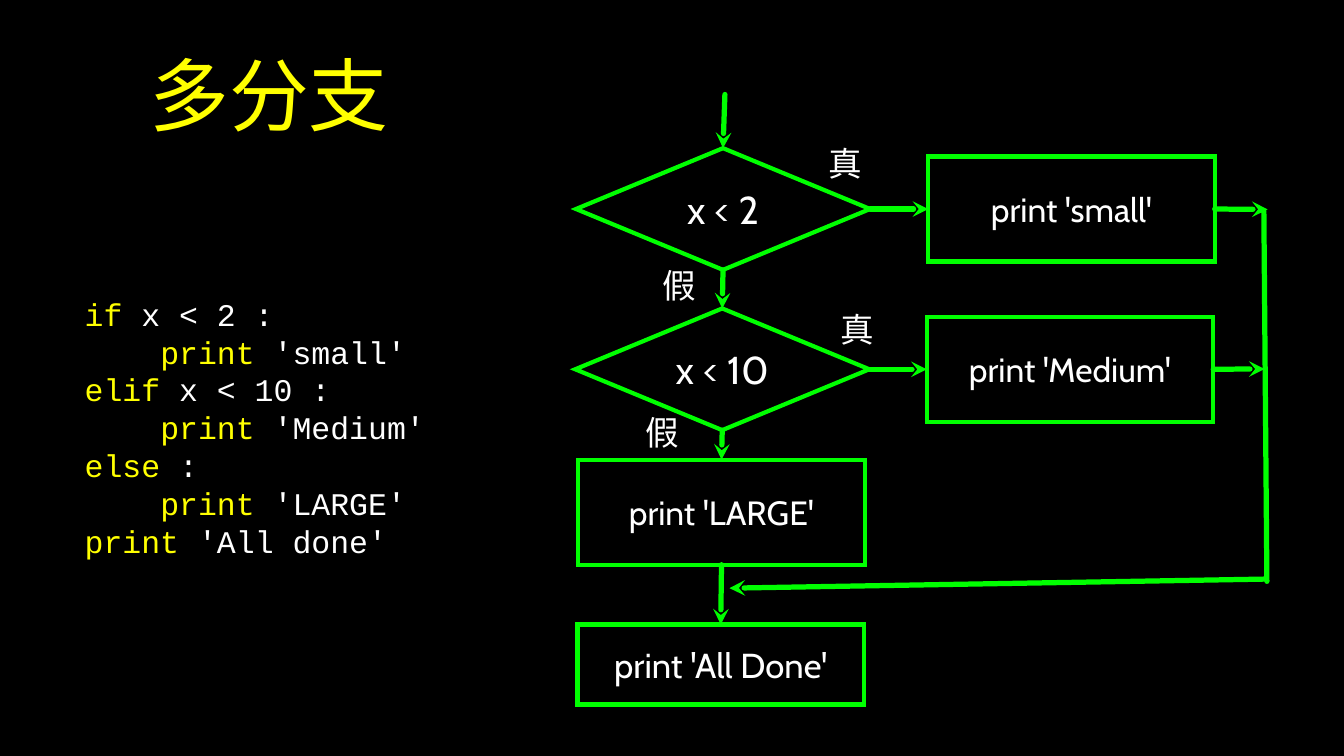
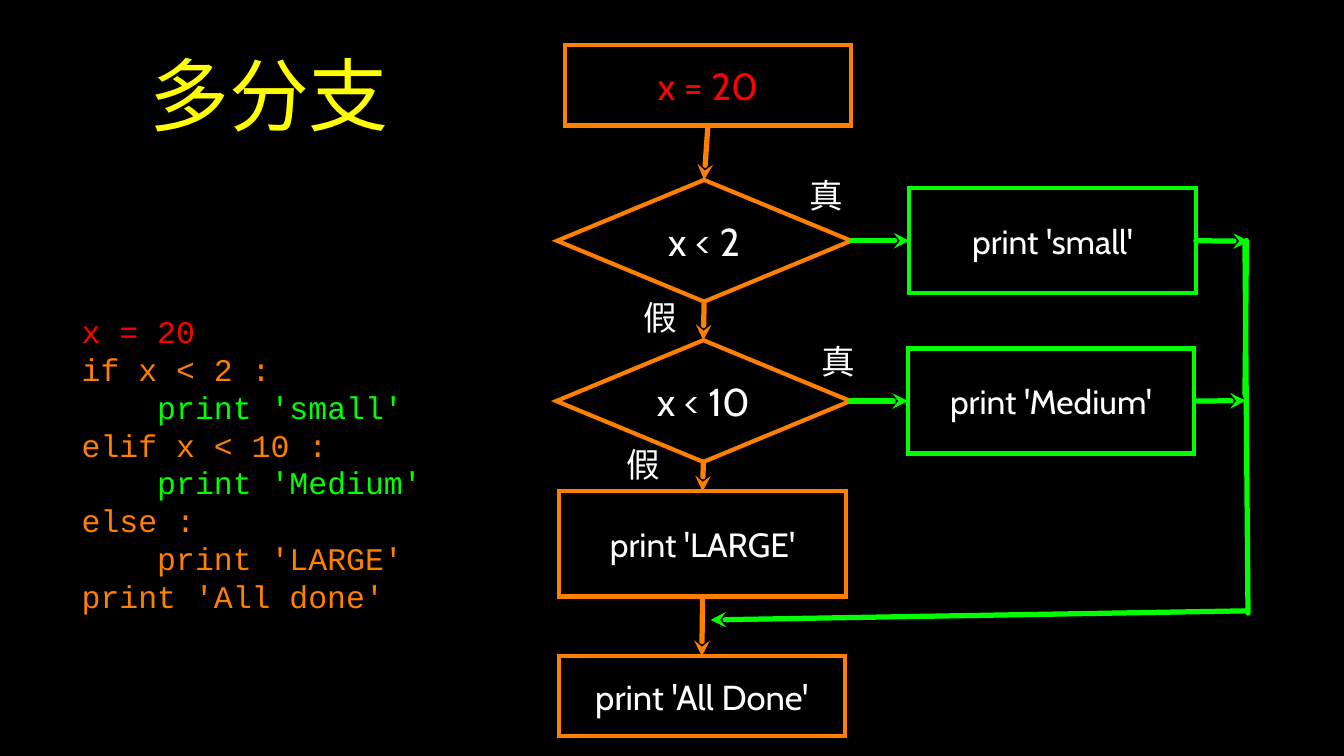
from lxml.etree import SubElement
from pptx import Presentation
from pptx.dml.color import RGBColor
from pptx.enum.shapes import MSO_CONNECTOR as Line, MSO_SHAPE as Kind
from pptx.enum.text import MSO_ANCHOR as Anchor, PP_ALIGN as Align
from pptx.oxml.ns import qn
from pptx.util import Inches, Pt

INK = {
    "back": "000000",
    "text": "FFFFFF",
    "key": "FFFF00",
    "side": "00FF00",
    "path": "FF7F00",
    "start": "FF0000",
}
FONT, MONO = "Cabin", "Courier New"
TITLE = "多分支"
TOP, LEFT, BOTTOM, RIGHT = range(4)

# Flow chart, placed as on the first slide: left, top, width, height, size
BOXES = {
    "two": ("x < 2", Kind.DIAMOND, 7.62, 1.96, 3.89, 1.61, 37),
    "small": ("print 'small'", Kind.RECTANGLE, 12.28, 2.07, 3.79, 1.39, 32),
    "ten": ("x < 10", Kind.DIAMOND, 7.61, 4.08, 3.89, 1.61, 37),
    "medium": ("print 'Medium'", Kind.RECTANGLE, 12.26, 4.19, 3.79, 1.39, 32),
    "large": ("print 'LARGE'", Kind.RECTANGLE, 7.65, 6.08, 3.79, 1.39, 32),
    "done": ("print 'All Done'", Kind.RECTANGLE, 7.64, 8.26, 3.79, 1.06, 33),
}
START = ("x = 20", Kind.RECTANGLE, 7.72, 0.18, 3.79, 1.06, 36)
SIDE = ("small", "medium")
LABELS = [
    ("真", 10.84, 1.85, 0.69),
    ("假", 8.69, 3.47, 0.59),
    ("真", 11, 4.05, 0.69),
    ("假", 8.47, 5.41, 0.59),
]
DOWN = [("two", "ten"), ("ten", "large"), ("large", "done")]
ACROSS = [("two", "small"), ("ten", "medium")]
EXITS = [("small", (16.77, 2.77)), ("medium", (16.73, 4.88))]
ENTRY = (9.59, 1.25)
RAIL = ((16.72, 2.79), (16.76, 7.69))
BACK = ((16.74, 7.66), (9.65, 7.78))
EXTRA = ((16.74, 2.76), (16.72, 4.8))

# Code lines: indent in inches, then runs of text and colour
CODE = [
    (0, ("if", "key"), (" x < 2 :", "text")),
    (1, ("print", "key"), (" 'small'", "text")),
    (0, ("elif", "key"), (" x < 10 :", "text")),
    (1, ("print", "key"), (" 'Medium'", "text")),
    (0, ("else", "key"), (" :", "text")),
    (1, ("print", "key"), (" 'LARGE'", "text")),
    (0, ("print", "key"), (" 'All done'", "text")),
]
TRACE = [
    (0, ("x = 20", "start")),
    (0, ("if x < 2 :", "path")),
    (1, ("print 'small'", "side")),
    (0, ("elif x < 10 :", "path")),
    (1, ("print 'Medium'", "side")),
    (0, ("else :", "path")),
    (1, ("print 'LARGE'", "path")),
    (0, ("print 'All done'", "path")),
]
SLIDES = [
    dict(code=CODE, area=(1.12, 3.21, 5.58, 4.88), shift=(0, 0),
         main="side", start=False),
    dict(code=TRACE, area=(1.08, 3.35, 5.52, 5.56), shift=(-0.25, 0.42),
         main="path", start=True),
]


def rgb(name):
    return RGBColor.from_string(INK[name])


def set_frame(shape, pad=0):
    frame = shape.text_frame
    frame.word_wrap = True
    frame.vertical_anchor = Anchor.MIDDLE
    frame.margin_left = frame.margin_right = Inches(pad)
    frame.margin_top = frame.margin_bottom = Inches(pad)
    return frame


def write(shape, text, size, ink="text", pad=0):
    """Put one centred line of text in a shape."""
    para = set_frame(shape, pad).paragraphs[0]
    para.text = text
    para.alignment = Align.CENTER
    para.font.name, para.font.size = FONT, Pt(size)
    para.font.color.rgb = rgb(ink)


def add_text(slide, area):
    return slide.shapes.add_textbox(*map(Inches, area))


def add_code(slide, lines, area):
    frame = set_frame(add_text(slide, area))
    for row, (indent, *runs) in enumerate(lines):
        para = frame.add_paragraph() if row else frame.paragraphs[0]
        para.line_spacing = Pt(36)
        para.font.name, para.font.size = MONO, Pt(30)
        para._p.get_or_add_pPr().set("marL", str(Inches(indent)))
        for text, ink in runs:
            run = para.add_run()
            run.text = text
            run.font.color.rgb = rgb(ink)


class Flow:
    """Draws a flow chart on a slide, moved by a shift."""

    def __init__(self, slide, shift):
        self.slide = slide
        self.shift = shift

    def spot(self, x, y):
        dx, dy = self.shift
        return Inches(x + dx), Inches(y + dy)

    def box(self, spec_row, line, ink="text"):
        text, kind, x, y, wide, high, size = spec_row
        shape = self.slide.shapes.add_shape(
            kind, *self.spot(x, y), Inches(wide), Inches(high))
        shape.shadow.inherit = False
        shape.fill.background()
        shape.line.color.rgb = rgb(line)
        shape.line.width = Pt(4)
        SubElement(shape.line._get_or_add_ln(), qn("a:miter"), lim="800000")
        write(shape, text, size, ink)
        return shape

    def label(self, text, x, y, wide):
        area = self.slide.shapes.add_textbox(
            *self.spot(x, y), Inches(wide), Inches(0.61))
        write(area, text, 32)

    def link(self, begin, end, ink, arrow=True):
        """Join two ends, each a point or a pair of shape and side."""
        line = self.slide.shapes.add_connector(Line.STRAIGHT, 0, 0, 0, 0)
        if isinstance(begin[0], (int, float)):
            line.begin_x, line.begin_y = self.spot(*begin)
        else:
            line.begin_connect(*begin)
        if isinstance(end[0], (int, float)):
            line.end_x, line.end_y = self.spot(*end)
        else:
            line.end_connect(*end)
        line.line.color.rgb = rgb(ink)
        line.line.width = Pt(5)
        stroke = line.line._get_or_add_ln()
        stroke.set("cap", "rnd")
        if arrow:
            SubElement(stroke, qn("a:tailEnd"), type="stealth")
        SubElement(line._element.spPr, qn("a:effectLst"))


def draw_flow(slide, shift, main, start):
    flow = Flow(slide, shift)
    box = {name: flow.box(row, "side" if name in SIDE else main)
           for name, row in BOXES.items()}
    for row in LABELS:
        flow.label(*row)
    entry = (flow.box(START, main, "start"), BOTTOM) if start else ENTRY
    flow.link(entry, (box["two"], TOP), main)
    for a, b in DOWN:
        flow.link((box[a], BOTTOM), (box[b], TOP), main)
    for a, b in ACROSS:
        flow.link((box[a], RIGHT), (box[b], LEFT), "side")
    for name, end in EXITS:
        flow.link((box[name], RIGHT), end, "side")
    flow.link(*RAIL, "side", arrow=False)
    flow.link(*BACK, "side")
    if start:
        flow.link(*EXTRA, "side", arrow=False)


def main():
    deck = Presentation()
    deck.slide_width, deck.slide_height = Inches(17.78), Inches(10)
    for page in SLIDES:
        slide = deck.slides.add_slide(deck.slide_layouts[6])
        slide.background.fill.solid()
        slide.background.fill.fore_color.rgb = rgb("back")
        write(add_text(slide, (0.61, 0.33, 5.9, 1.81)), TITLE, 76, "key", 0.04)
        add_code(slide, page["code"], page["area"])
        draw_flow(slide, page["shift"], page["main"], page["start"])
    deck.save("out.pptx")


if __name__ == "__main__":
    main()
